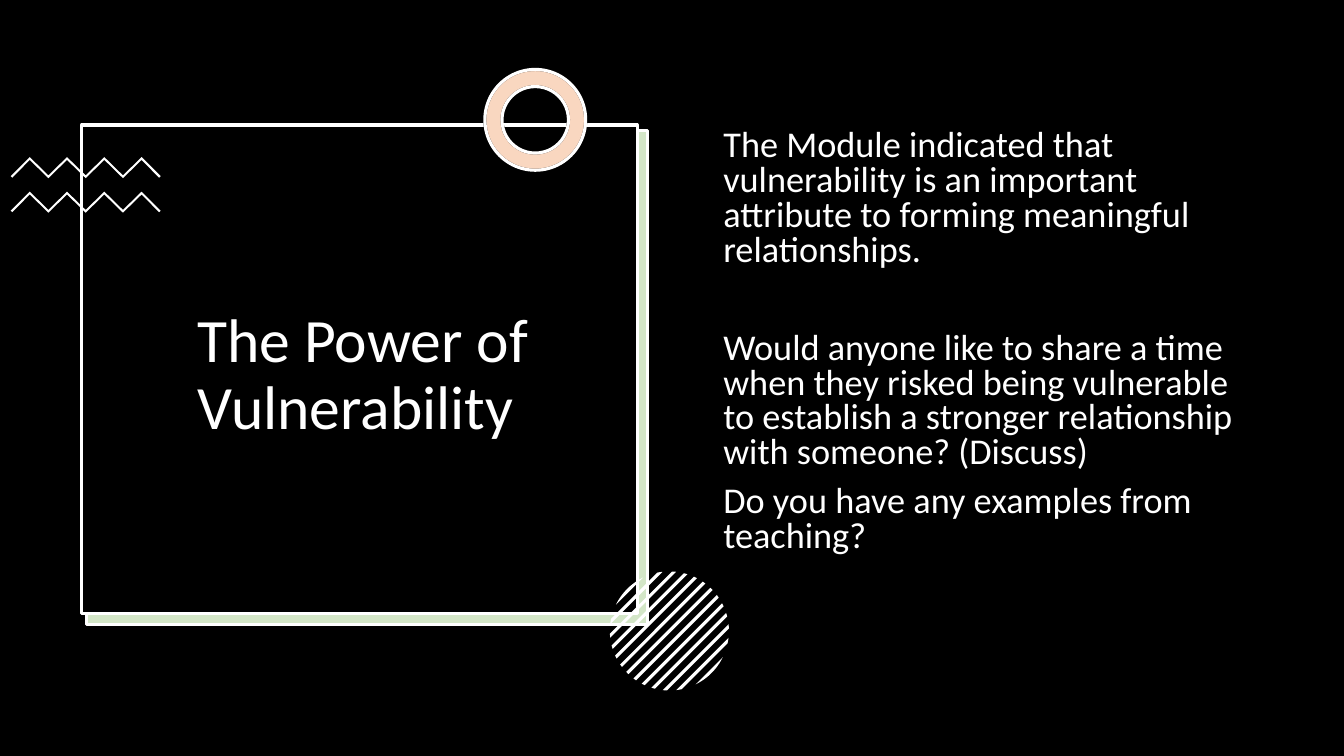
from math import acos, cos, pi, sin

from lxml import etree
from pptx import Presentation
from pptx.dml.color import RGBColor
from pptx.enum.shapes import MSO_SHAPE
from pptx.enum.text import MSO_ANCHOR, PP_ALIGN
from pptx.oxml.ns import qn
from pptx.util import Cm, Pt

RECTANGLE = MSO_SHAPE.RECTANGLE
DONUT = MSO_SHAPE.DONUT
TOP, MIDDLE = MSO_ANCHOR.TOP, MSO_ANCHOR.MIDDLE
LEFT, CENTER = PP_ALIGN.LEFT, PP_ALIGN.CENTER
BLACK, WHITE, GREEN, ORANGE = "000000", "FFFFFF", "70AD47", "ED7D31"


def color(value):
    return RGBColor.from_string(value)


class SlideBuilder:
    """Draws styled elements on one slide, with lengths in centimetres."""

    font_name = "Calibri"
    line_width = 2.25

    def __init__(self, slide):
        self.slide = slide

    def paint(self, shape, fill, line=None, opacity=None):
        shape.shadow.inherit = False
        shape.fill.solid()
        shape.fill.fore_color.rgb = color(fill)
        if opacity is not None:
            fill_color = shape.element.spPr.find(qn("a:solidFill"))[0]
            alpha = etree.SubElement(fill_color, qn("a:alpha"))
            alpha.set("val", str(opacity * 1000))
        if line:
            shape.line.color.rgb = color(line)
            shape.line.width = Pt(self.line_width)
        else:
            shape.line.fill.background()

    def preset(self, kind, box, fill, line=None, opacity=None):
        shape = self.slide.shapes.add_shape(kind, *map(Cm, box))
        self.paint(shape, fill, line, opacity)
        return shape

    def ring(self, box, fill, line, opacity=None):
        shape = self.preset(DONUT, box, fill, line, opacity)
        shape.adjustments[0] = 0.17

    def polygon(self, points, fill):
        start, *others = [(Cm(x), Cm(y)) for x, y in points]
        builder = self.slide.shapes.build_freeform(*start, scale=1.0)
        builder.add_line_segments(others, close=True)
        self.paint(builder.convert_to_shape(), fill)

    def zigzag(self, top):
        left, step, height, thickness = 0.75, 0.47, 0.46, 0.07
        peaks = [(left + step * i, top + height * (i % 2)) for i in range(7)]
        lower = [(x, y + thickness) for x, y in reversed(peaks)]
        right = peaks[-1][0]
        upper_end, lower_end = top + 0.48, top + 0.52
        self.polygon(
            [(left - 0.48, upper_end), *peaks, (right + 0.48, upper_end),
             (right + 0.44, lower_end), *lower, (left - 0.44, lower_end)],
            WHITE)

    def striped_circle(self, center_x, center_y, radius):
        half_width, steps = 0.04, 6
        pitch = (radius - half_width) / steps
        for index in range(-steps, steps + 1):
            middle = index * pitch
            near, far = [acos(max(-1, min(1, (middle + offset) / radius)))
                         for offset in (half_width, -half_width)]
            arc = [near + (far - near) * i / 6 for i in range(7)]
            angles = [pi / 4 + a for a in arc] + [pi / 4 - a for a in reversed(arc)]
            self.polygon([(center_x + radius * cos(a), center_y + radius * sin(a))
                          for a in angles], WHITE)

    def text(self, box, paragraphs, size, spacing, anchor=TOP, align=LEFT):
        frame = self.slide.shapes.add_textbox(*map(Cm, box)).text_frame
        frame.word_wrap = True
        frame.vertical_anchor = anchor
        for index, (content, space_before) in enumerate(paragraphs):
            paragraph = frame.add_paragraph() if index else frame.paragraphs[0]
            paragraph.text = content
            paragraph.alignment = align
            paragraph.line_spacing = spacing
            paragraph.space_before = Pt(space_before)
            paragraph.font.name = self.font_name
            paragraph.font.size = Pt(size)
            paragraph.font.color.rgb = color(WHITE)


def main():
    presentation = Presentation()
    presentation.slide_width, presentation.slide_height = Cm(33.87), Cm(19.05)
    slide = presentation.slides.add_slide(presentation.slide_layouts[6])
    builder = SlideBuilder(slide)

    builder.preset(RECTANGLE, (0, 0, 33.87, 19.05), BLACK)
    builder.preset(RECTANGLE, (2.16, 3.3, 14.15, 12.45), WHITE)
    builder.preset(RECTANGLE, (2.18, 3.28, 14.15, 12.45), GREEN, WHITE, 30)
    builder.preset(RECTANGLE, (2.06, 3.15, 14, 12.32), BLACK, WHITE)

    for top in (3.96, 4.83):
        builder.zigzag(top)

    ring_box = (12.22, 1.75, 2.54, 2.54)
    builder.ring(ring_box, WHITE, BLACK)
    builder.ring(ring_box, ORANGE, WHITE, 30)
    builder.striped_circle(16.87, 15.9, 1.5)

    builder.text((2.34, 3.86, 13.61, 11.23), [("The Power of Vulnerability ", 0)],
                 44, 0.9, MIDDLE, CENTER)
    builder.text((17.98, 3.15, 13.82, 12.09), [
        ("The Module indicated that vulnerability is an important attribute "
         "to forming meaningful relationships.", 10),
        ("Would anyone like to share a time when they risked being vulnerable "
         "to establish a stronger relationship with someone? (Discuss)", 45),
        ("Do you have any examples from teaching?", 10),
    ], 25.9, 0.8)

    presentation.save("out.pptx")


if __name__ == "__main__":
    main()
